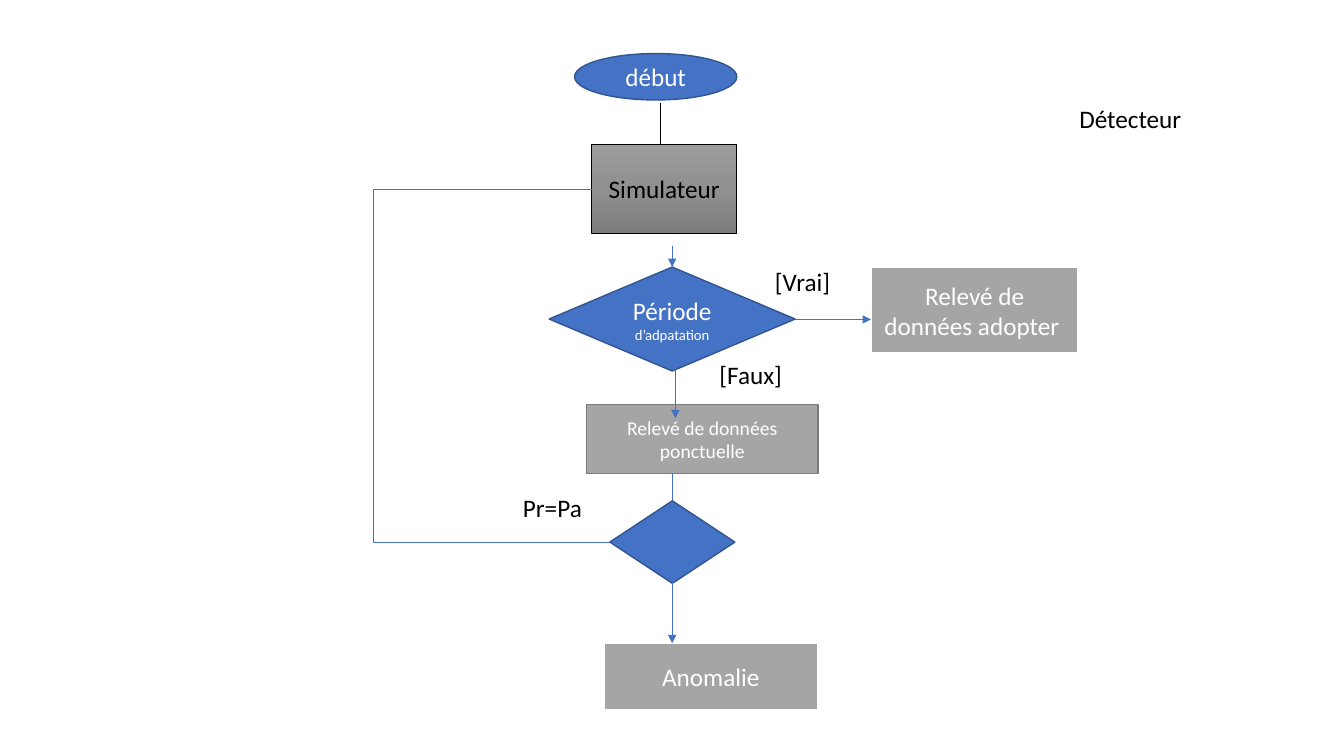
from copy import deepcopy
from dataclasses import dataclass

from pptx import Presentation
from pptx import util as u
from pptx.dml.color import RGBColor
from pptx.enum import shapes, text
from pptx.oxml import ns, xmlchemy


@dataclass(frozen=True)
class Theme:
    font: str = "Calibri"
    body: float = 18
    small: float = 14
    tiny: float = 10.5
    thin: float = 0.5
    medium: float = 1
    thick: float = 1.5
    blue: str = "4472C4"
    navy: str = "325491"
    gray: str = "A5A5A5"
    dark_gray: str = "7A7A7A"
    black: str = "000000"
    white: str = "FFFFFF"
    gradient: tuple = ((0, "9D9D9D"), (0.5, "909090"), (1, "7C7C7C"))


@dataclass(frozen=True)
class Box:
    """A rectangle in centimetres."""
    left: float
    top: float
    width: float
    height: float

    def inside(self, dx, dy, width, height):
        return Box(self.left + dx, self.top + dy, width, height)

    def point(self, dx, dy):
        return self.left + dx, self.top + dy

    @property
    def lengths(self):
        return [u.Cm(v) for v in (self.left, self.top, self.width, self.height)]


THEME = Theme()
KIND = shapes.MSO_SHAPE
LINK = shapes.MSO_CONNECTOR


def rgb(code):
    return RGBColor.from_string(code)


def style_para(para, size, color):
    para.font.name = THEME.font
    para.font.size = u.Pt(size)
    para.font.color.rgb = rgb(color)


def add_node(page, kind, box, words="", fill=THEME.blue, edge=THEME.navy,
             weight=THEME.medium, size=THEME.body, color=THEME.white):
    node = page.shapes.add_shape(kind, *box.lengths)
    node.shadow.inherit = False
    node.fill.solid()
    node.fill.fore_color.rgb = rgb(fill)
    node.line.color.rgb = rgb(edge)
    node.line.width = u.Pt(weight)
    if words:
        frame = node.text_frame
        frame.word_wrap = True
        frame.vertical_anchor = text.MSO_ANCHOR.MIDDLE
        para = frame.paragraphs[0]
        para.alignment = text.PP_ALIGN.CENTER
        para.add_run().text = words
        style_para(para, size, color)
    return node


def add_record(page, box, words, edge=THEME.white, weight=THEME.thick,
               size=THEME.body):
    return add_node(page, KIND.RECTANGLE, box, words, THEME.gray, edge, weight, size)


def add_label(page, box, words):
    frame = page.shapes.add_textbox(*box.lengths).text_frame
    frame.word_wrap = True
    para = frame.paragraphs[0]
    para.add_run().text = words
    style_para(para, THEME.body, THEME.black)


def add_link(page, start, end, color=THEME.blue, kind=LINK.STRAIGHT, arrow=True):
    link = page.shapes.add_connector(kind, *[u.Cm(v) for v in (*start, *end)])
    link.line.color.rgb = rgb(color)
    link.line.width = u.Pt(THEME.thin)
    if arrow:
        tail = xmlchemy.OxmlElement("a:tailEnd")
        tail.set("type", "triangle")
        link.line._get_or_add_ln().append(tail)
    link._element.spPr.append(xmlchemy.OxmlElement("a:effectLst"))
    return link


def add_loop(page, start, end, turn):
    """Bent line whose vertical part stands at x = turn."""
    loop = add_link(page, start, end, kind=LINK.ELBOW, arrow=False)
    guides = loop._element.spPr.find(ns.qn("a:prstGeom")).get_or_add_avLst()
    guide = xmlchemy.OxmlElement("a:gd")
    share = (turn - start[0]) / (end[0] - start[0])
    guide.set("name", "adj1")
    guide.set("fmla", f"val {round(share * 100000)}")
    guides.append(guide)


def set_gradient(node):
    node.fill.gradient()
    node.fill.gradient_angle = 270
    stops = node._element.spPr.find(".//" + ns.qn("a:gsLst"))
    stops.append(deepcopy(stops[0]))
    for stop, (position, color) in zip(node.fill.gradient_stops, THEME.gradient):
        stop.position = position
        stop.color.rgb = rgb(color)


def draw_start(page, box):
    # Start, then simulator in front of the arrowhead
    add_link(page, box.point(2.16, 1.24), box.point(2.16, 2.59), THEME.black)
    add_node(page, KIND.OVAL, box.inside(0, 0, 4.09, 1.17), "début")
    simulator = add_node(page, KIND.RECTANGLE, box.inside(0.43, 2.28, 3.66, 2.26),
                         "Simulateur", edge=THEME.black, weight=THEME.thin,
                         color=THEME.black)
    set_gradient(simulator)


def draw_period_check(page, box):
    # Period decision with its second, smaller line
    add_link(page, box.point(3.1, 0), box.point(3.1, 0.53))
    check = add_node(page, KIND.FLOWCHART_DECISION, box.inside(0, 0.53, 6.2, 2.62),
                     "Période ")
    span = check.text_frame.paragraphs[0].add_run()
    span.text = "d’adpatation"
    span.font.size = u.Pt(THEME.tiny)

    # Outcomes
    add_record(page, box.inside(8.11, 0.53, 5.23, 2.18), "Relevé de données adopter ")
    add_link(page, box.point(6.2, 1.85), box.point(8.11, 1.85))
    add_label(page, box.inside(5.44, 0.38, 1.91, 1.02), "[Vrai]")
    add_label(page, box.inside(4.04, 2.74, 2.54, 1.02), "[Faux]")


def draw_anomaly_check(page, box):
    # Punctual reading and comparison
    axis = 7.54
    add_link(page, box.point(axis, 3.13), box.point(axis, 4.5))
    add_record(page, box.inside(5.38, 1.38, 5.84, 1.75), "Relevé de données ponctuelle",
               THEME.dark_gray, THEME.medium, THEME.small)
    add_node(page, KIND.FLOWCHART_DECISION, box.inside(5.97, 3.81, 3.15, 2.08))
    add_label(page, box.inside(3.53, 3.48, 2.39, 1.02), "Pr=Pa")

    # Anomaly and arrows in front
    add_record(page, box.inside(5.81, 7.4, 5.41, 1.69), "Anomalie")
    add_link(page, box.point(7.62, 0), box.point(7.62, 1.73))
    add_link(page, box.point(axis, 3.86), box.point(axis, 7.4))

    # Return to the simulator
    add_loop(page, box.point(5.51, -4.03), box.point(5.97, 4.86), box.left)


def main():
    deck = Presentation()
    deck.slide_width, deck.slide_height = u.Cm(33.87), u.Cm(19.05)
    page = deck.slides.add_slide(deck.slide_layouts[6])
    draw_start(page, Box(14.48, 1.35, 4.09, 4.54))
    draw_period_check(page, Box(13.84, 6.2, 13.34, 3.76))
    draw_anomaly_check(page, Box(9.4, 8.81, 11.22, 9.09))
    add_label(page, Box(26.95, 2.49, 3.43, 1.02), "Détecteur")
    deck.save("out.pptx")


if __name__ == "__main__":
    main()
